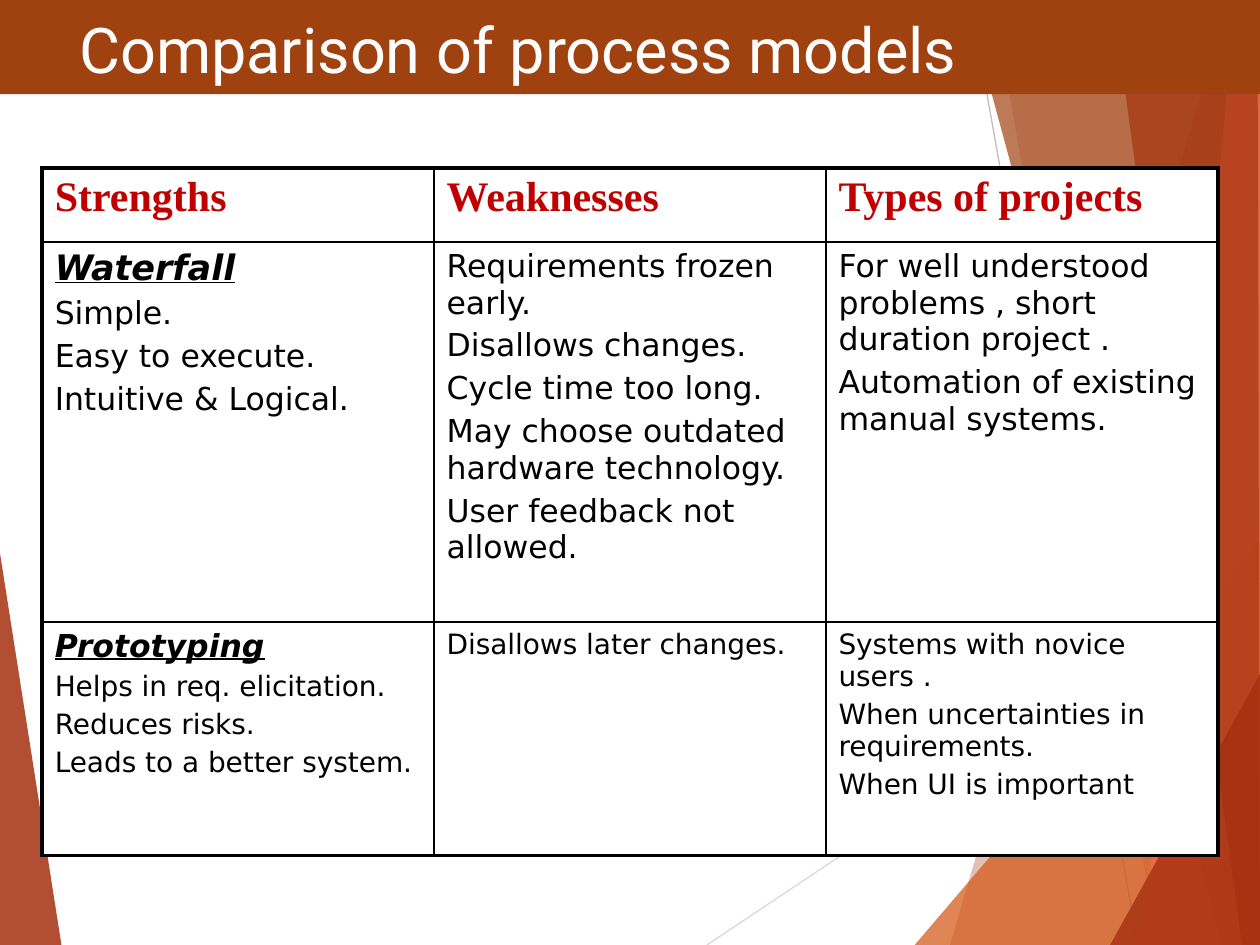
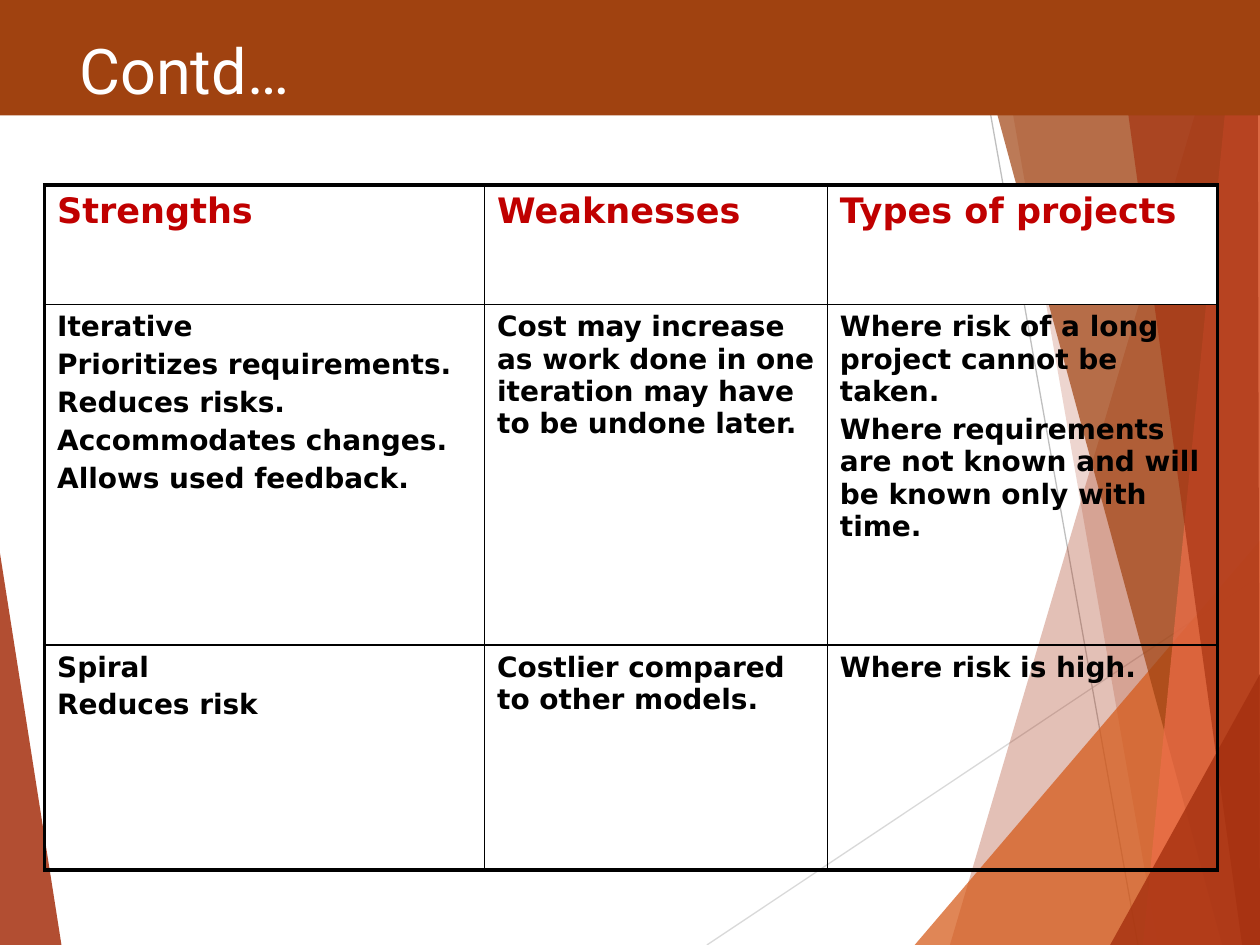
import dataclasses

import lxml.etree
import pptx
import pptx.dml.color
import pptx.enum.shapes
import pptx.enum.text
import pptx.oxml.ns
import pptx.util

Cm = pptx.util.Cm
Pt = pptx.util.Pt
qn = pptx.oxml.ns.qn


@dataclasses.dataclass(frozen=True)
class Theme:
    # Colours
    band: str = "A04210"
    rust: str = "A5300F"
    amber: str = "D55816"
    coral: str = "EE6E4A"
    pale: str = "D9D9D9"
    gray: str = "BFBFBF"
    white: str = "FFFFFF"
    black: str = "000000"
    head: str = "C00000"
    # Fonts, type sizes and line widths
    sans: str = "DejaVu Sans"
    serif: str = "Times New Roman"
    display: str = "Roboto"
    title: int = 36
    hair: float = 0.75
    inner: float = 1
    outer: float = 2.25


T = Theme()
WIDE, HIGH = 25.4, 19.05


def rgb(code):
    return pptx.dml.color.RGBColor.from_string(code)


def add_run(para, text, size, font, color, bold=False, fancy=False):
    run = para.add_run()
    run.text = text
    face = run.font
    face.size, face.name, face.bold = Pt(size), font, bold
    face.italic = face.underline = fancy
    face.color.rgb = rgb(color)


# Background facets
def add_facet(slide, color, alpha, points):
    spots = [(Cm(x), Cm(y)) for x, y in points]
    form = slide.shapes.build_freeform(*spots[0], scale=1)
    form.add_line_segments(spots[1:], close=True)
    shape = form.convert_to_shape()
    shape.shadow.inherit = False
    shape.line.fill.background()
    shape.fill.solid()
    shape.fill.fore_color.rgb = rgb(color)
    tint = shape.element.spPr.find(".//" + qn("a:srgbClr"))
    lxml.etree.SubElement(tint, qn("a:alpha"), val=str(alpha * 1000))


def add_ray(slide, color, start, end):
    ray = slide.shapes.add_connector(
        pptx.enum.shapes.MSO_CONNECTOR.STRAIGHT,
        *(Cm(n) for n in start + end))
    ray.line.color.rgb = rgb(color)
    ray.line.width = Pt(T.hair)
    lxml.etree.SubElement(ray.element.spPr, qn("a:effectLst"))


def add_strip(slide, color, alpha, top, foot):
    """Fill from a slanted edge to the right side of the slide."""
    add_facet(slide, color, alpha,
              [(top, 0), (foot, HIGH), (WIDE, HIGH), (WIDE, 0)])


def add_wedge(slide, color, alpha, foot, side):
    """Fill the lower right corner."""
    add_facet(slide, color, alpha,
              [(foot, HIGH), (WIDE, side), (WIDE, HIGH)])


def add_decor(slide):
    add_facet(slide, T.rust, 85, [(0, 11.15), (1.24, HIGH), (0, HIGH)])
    add_ray(slide, T.pale, (14.25, HIGH), (WIDE, 11.61))
    add_ray(slide, T.gray, (19.56, 0), (22.94, HIGH))
    add_strip(slide, T.rust, 30, 24.77, 19.15)
    add_strip(slide, T.rust, 20, 20.02, 23.34)
    add_wedge(slide, T.amber, 72, 18.44, 10.9)
    add_strip(slide, T.band, 70, 19.48, 24.64)
    add_strip(slide, T.coral, 70, 24.92, 23.04)
    add_facet(slide, T.rust, 65,
              [(22.43, 0), (25.04, HIGH), (WIDE, HIGH), (25.35, 0)])
    add_wedge(slide, T.rust, 80, 22.38, 13.59)


# Title band
def add_title(slide, text, height):
    band = slide.shapes.add_shape(
        pptx.enum.shapes.MSO_SHAPE.RECTANGLE, 0, 0, Cm(WIDE), Cm(height))
    band.shadow.inherit = False
    band.fill.solid()
    band.fill.fore_color.rgb = rgb(T.band)
    band.line.fill.background()
    frame = band.text_frame
    frame.word_wrap = True
    frame.vertical_anchor = pptx.enum.text.MSO_ANCHOR.BOTTOM
    frame.margin_left = Cm(1.6)
    para = frame.paragraphs[0]
    para.alignment = pptx.enum.text.PP_ALIGN.LEFT
    para.line_spacing = 0.95
    add_run(para, text, T.title, T.display, T.white)


# Comparison table
def set_edges(cell, outer):
    """Draw the four cell borders, heavy on the sides named in outer."""
    props = cell._tc.get_or_add_tcPr()
    for side in "LRTB":
        width = T.outer if side in outer else T.inner
        edge = lxml.etree.SubElement(
            props, qn("a:ln" + side), w=str(Pt(width)))
        fill = lxml.etree.SubElement(edge, qn("a:solidFill"))
        lxml.etree.SubElement(fill, qn("a:srgbClr"), val=T.black)


def fill_cell(cell, lines, size, font, color, bold, model=None):
    """Write one paragraph per line, below the model's name if given."""
    frame = cell.text_frame
    para = frame.paragraphs[0]
    if model:
        add_run(para, model, size + 2, font, color, True, True)
    for index, line in enumerate(lines):
        if model or index:
            para = frame.add_paragraph()
            para.space_before = Pt(size * 0.2)
        add_run(para, line, size, font, color, bold)


def add_grid(slide, box, cols, rows, head, body, bold, solid):
    """head is (size, font); body rows are (size, model, cells)."""
    left, top = box
    grid = slide.shapes.add_table(
        len(rows), len(cols), Cm(left), Cm(top),
        Cm(sum(cols)), Cm(sum(rows))).table
    grid.first_row = grid.horz_banding = False
    for col, width in zip(grid.columns, cols):
        col.width = Cm(width)
    for row, height in zip(grid.rows, rows):
        row.height = Cm(height)

    # Borders and fills
    for r in range(len(rows)):
        for c in range(len(cols)):
            cell = grid.cell(r, c)
            on_rim = {"L": c == 0, "R": c == len(cols) - 1,
                      "T": r == 0, "B": r == len(rows) - 1}
            set_edges(cell, [side for side, yes in on_rim.items() if yes])
            if solid or r == 0:
                cell.fill.solid()
                cell.fill.fore_color.rgb = rgb(T.white)
            else:
                cell.fill.background()

    # Header and body text
    for c, name in enumerate(("Strengths", "Weaknesses",
                              "Types of projects")):
        fill_cell(grid.cell(0, c), [name], *head, T.head, True)
    for r, (size, model, cells) in enumerate(body, 1):
        for c, lines in enumerate(cells):
            fill_cell(grid.cell(r, c), lines, size, T.sans, T.black,
                      bold, None if c else model)


FIRST = [
    (18, "Waterfall", [
        ["Simple.", "Easy to execute.", "Intuitive & Logical."],
        ["Requirements frozen early.", "Disallows changes.",
         "Cycle time too long.", "May choose outdated hardware technology.",
         "User feedback not allowed."],
        ["For well understood problems , short duration project .",
         "Automation of existing manual systems."]]),
    (16, "Prototyping", [
        ["Helps in req. elicitation.", "Reduces risks.",
         "Leads to a better system."],
        ["Disallows later changes."],
        ["Systems with novice users .", "When uncertainties in requirements.",
         "When UI is important"]]),
]
SECOND = [
    (16, None, [
        ["Iterative", "Prioritizes requirements.", "Reduces risks.",
         "Accommodates changes.", "Allows used feedback."],
        ["Cost may increase as work done in one iteration may have "
         "to be undone later."],
        ["Where risk of a long project cannot be taken.",
         "Where requirements are not known and will be known only "
         "with time."]]),
    (16, None, [
        ["Spiral", "Reduces risk"],
        ["Costlier compared to other models."],
        ["Where risk is high."]]),
]


def add_page(deck, title, height, **grid):
    slide = deck.slides.add_slide(deck.slide_layouts[6])
    add_decor(slide)
    add_title(slide, title, height)
    add_grid(slide, **grid)


def main():
    deck = pptx.Presentation()
    deck.slide_width, deck.slide_height = Cm(WIDE), Cm(HIGH)
    add_page(deck, "Comparison of process models", 1.9,
             box=(0.85, 3.39), cols=[7.9] * 3, rows=[1.49, 7.66, 4.7],
             head=(24, T.serif), body=FIRST, bold=False, solid=True)
    add_page(deck, "Contd…", 2.33,
             box=(0.9, 3.73), cols=[8.87, 6.91, 7.87],
             rows=[2.41, 6.86, 4.54],
             head=(20, T.sans), body=SECOND, bold=True, solid=False)
    deck.save("out.pptx")


if __name__ == "__main__":
    main()
